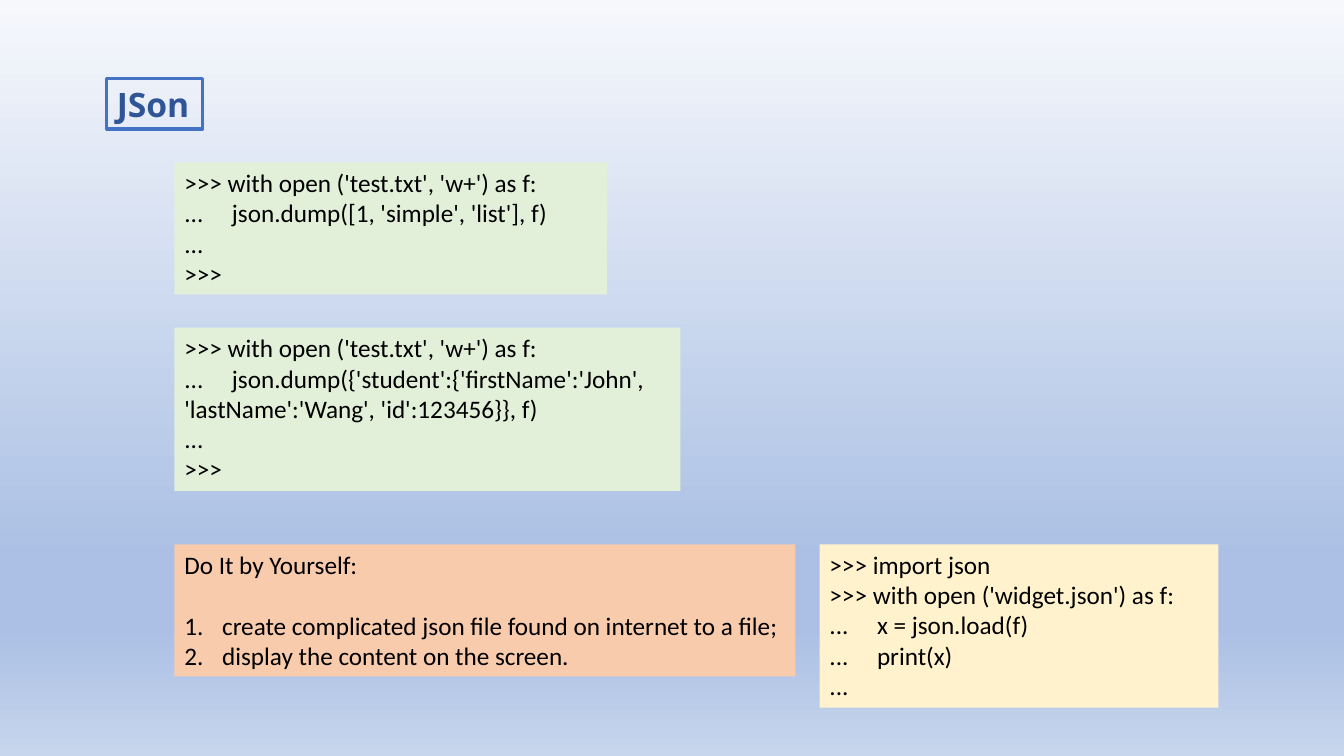
"""Build a slide on writing and reading JSON files in Python."""
from lxml import etree
from pptx import Presentation
from pptx.dml.color import RGBColor
from pptx.enum.text import MSO_AUTO_SIZE
from pptx.oxml.ns import qn
from pptx.util import Pt

FIT_SHAPE = MSO_AUTO_SIZE.SHAPE_TO_FIT_TEXT

COLORS = {
    "sky": "F6F8FC",
    "horizon": "ABC0E4",
    "ground": "C7D5ED",
    "border": "4472C4",
    "heading": "2F5597",
    "text": "000000",
    "write": "E2F0D9",
    "exercise": "F8CBAD",
    "read": "FFF2CC",
}
BACKDROP = [(0, "sky"), (74, "horizon"), (83, "horizon"), (100, "ground")]

LEFT = 124.6
LOWER_TOP = 388.8
FOUR_LINES = 94.3
FIVE_LINES = 116.6
CODE_INDENT = 34
LIST_INDENT = 27

DUMP_LIST = [
    ">>> with open ('test.txt', 'w+') as f:",
    "...\tjson.dump([1, 'simple', 'list'], f)",
    "...",
    ">>>",
]
DUMP_DICT = [
    ">>> with open ('test.txt', 'w+') as f:",
    "...\tjson.dump({'student':{'firstName':'John', 'lastName':'Wang', 'id':123456}}, f)",
    "...",
    ">>>",
]
LOAD_FILE = [
    ">>> import json",
    ">>> with open ('widget.json') as f:",
    "...\tx = json.load(f)",
    "...\tprint(x)",
    "...",
]
EXERCISE = [
    "Do It by Yourself:",
    "create complicated json file found on internet to a file;",
    "display the content on the screen.",
]


def rgb(name):
    """Return the named colour."""
    return RGBColor.from_string(COLORS[name])


def paint_backdrop(slide):
    """Fill the background with a gradient from top to bottom."""
    fill = slide.background.fill
    fill.gradient()
    fill.gradient_angle = 270
    stops = slide.element.find(".//" + qn("a:gsLst"))
    stops.clear()
    for percent, name in BACKDROP:
        stop = etree.SubElement(stops, qn("a:gs"), pos=str(percent * 1000))
        etree.SubElement(stop, qn("a:srgbClr"), val=COLORS[name])


def add_panel(slide, box, lines, wrap=True, font="Calibri", size=18, color="text", bold=False):
    """Add a text box with one paragraph per line."""
    panel = slide.shapes.add_textbox(*map(Pt, box))
    frame = panel.text_frame
    frame.word_wrap = wrap
    frame.auto_size = FIT_SHAPE
    frame.text = "\n".join(lines)
    for paragraph in frame.paragraphs:
        for run in paragraph.runs:
            run.font.name = font
            run.font.size = Pt(size)
            run.font.bold = bold
            run.font.color.rgb = rgb(color)
    return panel


def fill_panel(panel, color):
    """Give a panel a solid fill."""
    panel.fill.solid()
    panel.fill.fore_color.rgb = rgb(color)


def add_heading(slide, box, text):
    """Add the outlined heading."""
    heading = add_panel(slide, box, [text], False, "Open Sans", 24, "heading", True)
    heading.line.color.rgb = rgb("border")
    heading.line.width = Pt(2.25)


def add_code(slide, box, lines, color):
    """Add a console listing whose code bodies align at a tab stop."""
    listing = add_panel(slide, box, lines)
    fill_panel(listing, color)
    for paragraph in listing.text_frame.paragraphs:
        if "\t" in paragraph.text:
            properties = paragraph._p.get_or_add_pPr()
            tabs = etree.SubElement(properties, qn("a:tabLst"))
            etree.SubElement(tabs, qn("a:tab"), pos=str(Pt(CODE_INDENT)), algn="l")


def add_exercise(slide, box, lines):
    """Add the exercise with a title and numbered steps."""
    exercise = add_panel(slide, box, lines, wrap=False)
    fill_panel(exercise, "exercise")
    title, *steps = exercise.text_frame.paragraphs
    title.space_after = Pt(22)
    for step in steps:
        properties = step._p.get_or_add_pPr()
        properties.set("marL", str(Pt(LIST_INDENT)))
        properties.set("indent", str(-Pt(LIST_INDENT)))
        etree.SubElement(properties, qn("a:buAutoNum"), type="arabicPeriod")


def main():
    """Build and save the slide."""
    deck = Presentation()
    deck.slide_width, deck.slide_height = Pt(960), Pt(540)
    slide = deck.slides.add_slide(deck.slide_layouts[6])
    paint_backdrop(slide)
    add_heading(slide, (76.3, 56.2, 68.4, 36), "JSon")
    add_code(slide, (LEFT, 116, 309, FOUR_LINES), DUMP_LIST, "write")
    add_code(slide, (LEFT, 234, 361.4, FIVE_LINES), DUMP_DICT, "write")
    add_exercise(slide, (LEFT, LOWER_TOP, 443.5, FOUR_LINES), EXERCISE)
    add_code(slide, (585.4, LOWER_TOP, 285, FIVE_LINES), LOAD_FILE, "read")
    deck.save("out.pptx")


if __name__ == "__main__":
    main()
